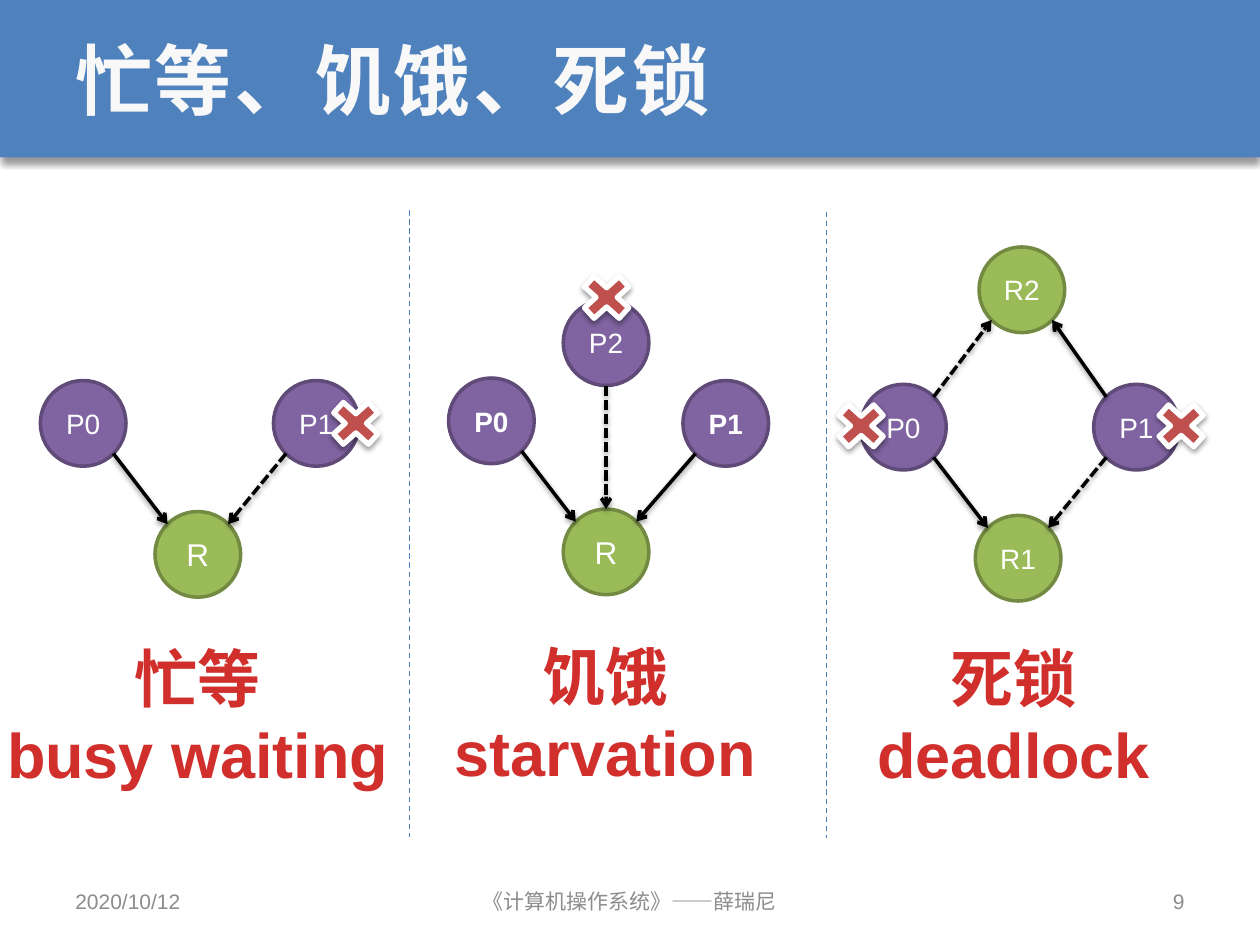
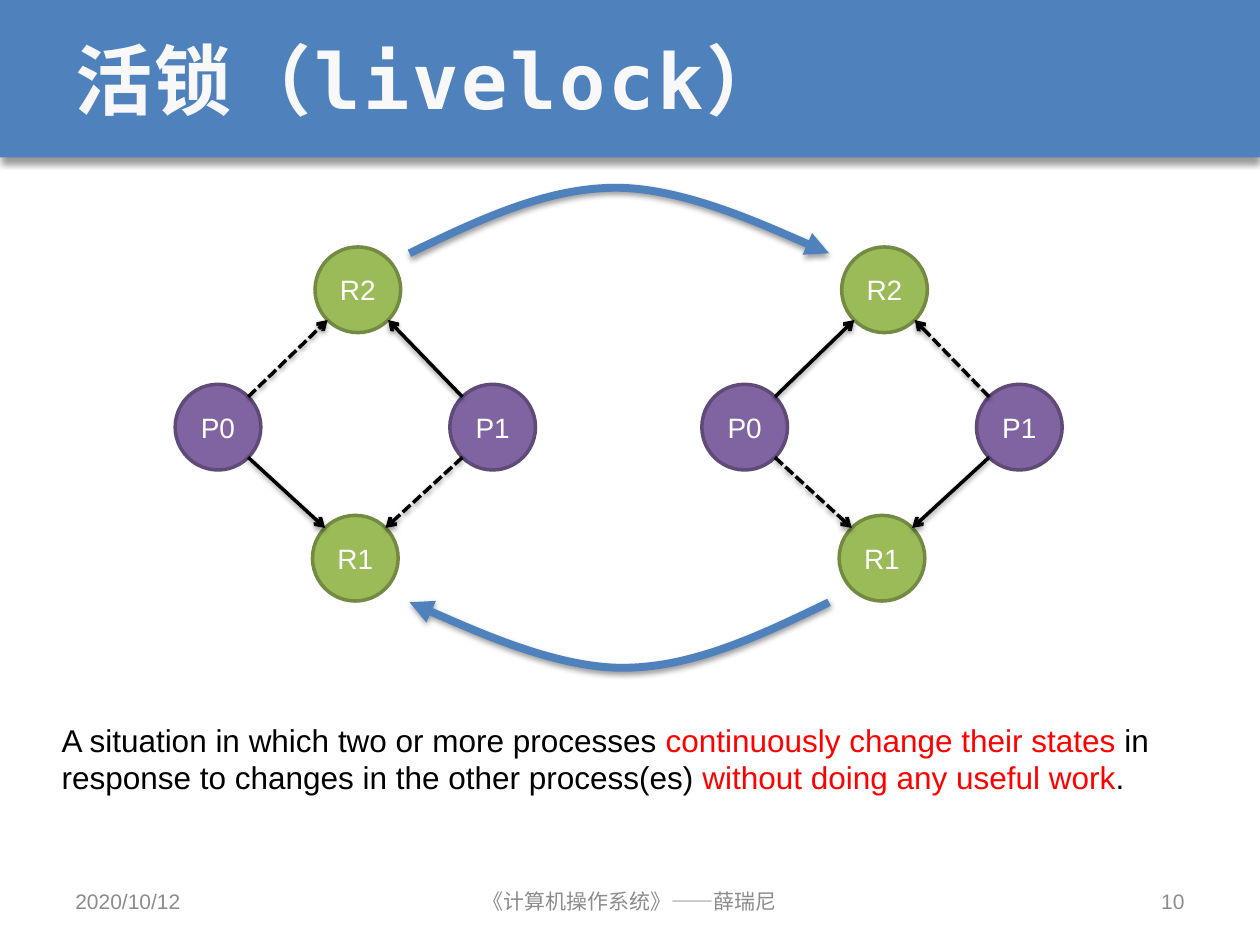
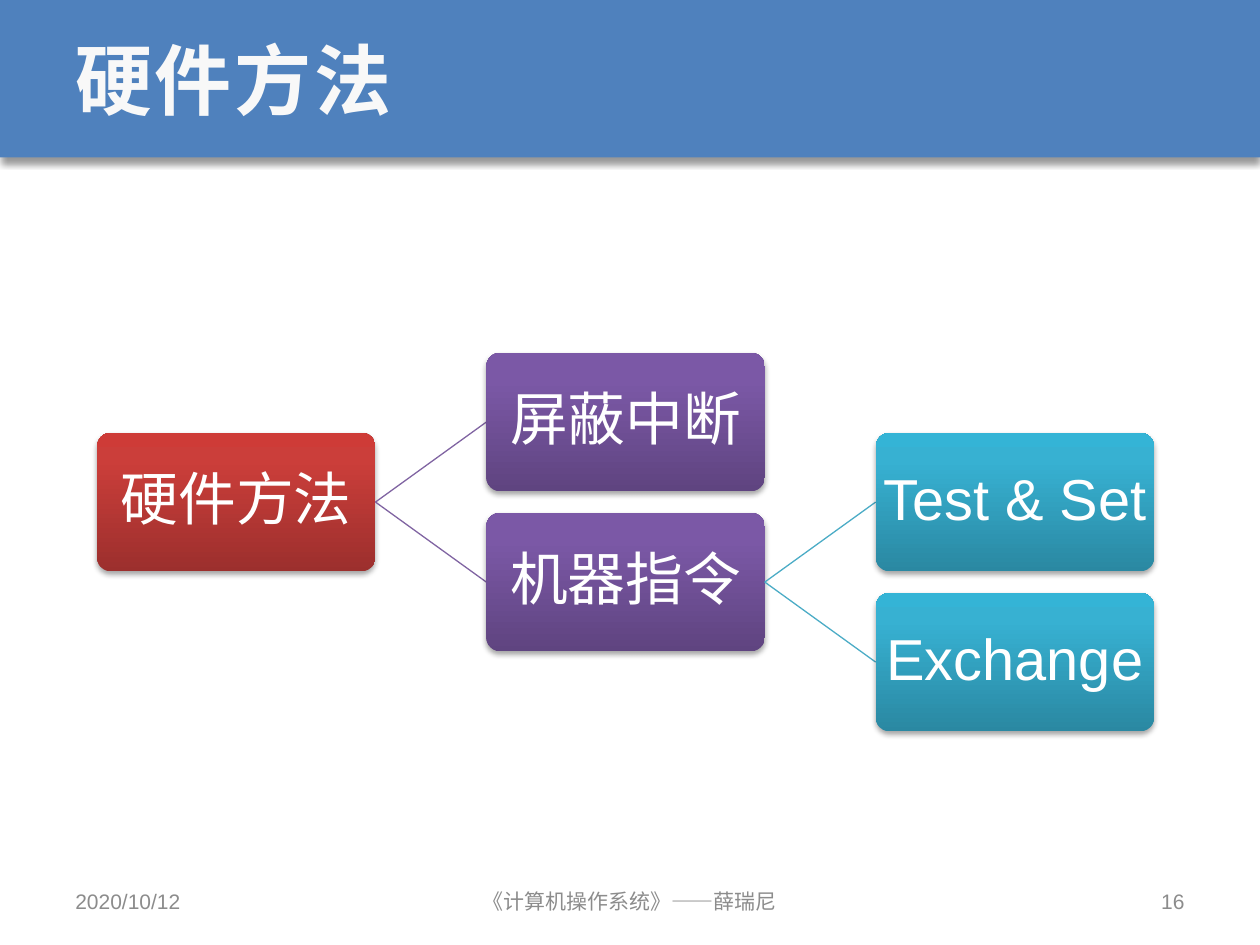
from dataclasses import dataclass

from lxml import etree
from pptx import Presentation
from pptx import util as u
from pptx.dml.color import RGBColor
from pptx.enum import dml, shapes, text
from pptx.oxml import ns

COLORS = {
    "band": "4F81BD", "title": "F8F8F8", "footer": "8C8C8C",
    "process": "8064A2", "process_edge": "5F4A78",
    "resource": "9BBB59", "resource_edge": "738A42",
    "cross": "C0504D", "divider": "4B7EBC", "instruction": "4BACC6",
    "white": "FFFFFF", "black": "000000", "highlight": "FF0000",
}
GRADIENTS = {
    "caption": ((0, "FC7C7A"), (75, "D02F2C"), (100, "C70500")),
    "root": ((0, "9C2F2D"), (80, "CB3E3A"), (100, "CE3B37")),
    "method": ((0, "5F4480"), (80, "7B58A6"), (100, "7C57A8")),
    "instruction": ((0, "2A88A2"), (80, "37B1D2"), (100, "34B4D6")),
}
BODY_FONT, TITLE_FONT = "Arial", "DejaVu Sans Mono"
FOOTER_DATE, FOOTER_COURSE = "2020/10/12", "《计算机操作系统》——薛瑞尼"
NODE_SIZE = 0.68
SITE_OFFSET = 0.24
CROSS_WIDTH, CROSS_HEIGHT = 0.53, 0.48
BOX_WIDTH, BOX_HEIGHT = 2.21, 1.1
COLUMN_PITCH, ROW_PITCH = 3.09, 1.27
LEFT, CENTER, RIGHT = text.PP_ALIGN.LEFT, text.PP_ALIGN.CENTER, text.PP_ALIGN.RIGHT


@dataclass(frozen=True)
class Shadow:
    alpha: int
    blur: float
    distance: float


@dataclass(frozen=True)
class Node:
    label: str
    left: float
    top: float
    size: int = 16
    bold: bool = False

    @property
    def center(self) -> tuple[float, float]:
        return self.left + NODE_SIZE / 2, self.top + NODE_SIZE / 2


@dataclass(frozen=True)
class Edge:
    source: str
    target: str
    waiting: bool = False


@dataclass(frozen=True)
class Method:
    label: str
    column: int
    row: float
    kind: str
    parent: int | None = None

    @property
    def left(self) -> float:
        return 0.77 + self.column * COLUMN_PITCH

    @property
    def top(self) -> float:
        return 2.8 + self.row * ROW_PITCH

    @property
    def middle(self) -> float:
        return self.top + BOX_HEIGHT / 2


BAND_SHADOW = Shadow(40, 4, 3)
LINE_SHADOW = Shadow(38, 3.1, 1.6)
BOX_SHADOW = Shadow(35, 3.1, 1.8)


def rgb(name: str) -> RGBColor:
    return RGBColor.from_string(COLORS[name])


def inches(*lengths: float) -> list[int]:
    return [u.Inches(length) for length in lengths]


def add_child(parent, tag: str, **attributes):
    values = {key: str(value) for key, value in attributes.items()}
    return etree.SubElement(parent, ns.qn(tag), values)


def set_shadow(shape, shadow: Shadow | None) -> None:
    properties = shape.element.spPr
    for old in properties.findall(ns.qn("a:effectLst")):
        properties.remove(old)
    effects = add_child(properties, "a:effectLst")
    if shadow:
        outer = add_child(effects, "a:outerShdw", blurRad=u.Pt(shadow.blur),
                          dist=u.Pt(shadow.distance), dir=5400000, rotWithShape=0)
        color = add_child(outer, "a:srgbClr", val=COLORS["black"])
        add_child(color, "a:alpha", val=shadow.alpha * 1000)


def set_gradient(fill, element, name: str, angle: int) -> None:
    fill.gradient()
    fill.gradient_angle = angle
    stops = next(element.iter(ns.qn("a:gsLst")))
    for old in list(stops):
        stops.remove(old)
    for position, color in GRADIENTS[name]:
        stop = add_child(stops, "a:gs", pos=position * 1000)
        add_child(stop, "a:srgbClr", val=color)


def set_line(shape, color: str, width: float, dash=None, arrowhead: str = "") -> None:
    shape.line.color.rgb = rgb(color)
    shape.line.width = u.Pt(width)
    if dash:
        shape.line.dash_style = dash
    if arrowhead:
        add_child(shape.line._get_or_add_ln(), "a:tailEnd", type=arrowhead)


def style_font(font, size: float, color: str, name: str = BODY_FONT,
               bold: bool = False) -> None:
    font.size = u.Pt(size)
    font.name = name
    font.bold = bold
    font.color.rgb = rgb(color)


def set_margins(frame, side: float, upright: float) -> None:
    frame.margin_left = frame.margin_right = u.Inches(side)
    frame.margin_top = frame.margin_bottom = u.Inches(upright)


def add_text(slide, words: str, left: float, top: float, width: float, height: float,
             size: float, color: str, font_name: str = BODY_FONT,
             align=LEFT, bold: bool = False):
    frame = slide.shapes.add_textbox(*inches(left, top, width, height)).text_frame
    frame.word_wrap = True
    frame.vertical_anchor = text.MSO_ANCHOR.MIDDLE
    frame.text = words
    paragraph = frame.paragraphs[0]
    paragraph.alignment = align
    run = paragraph.runs[0]
    style_font(run.font, size, color, font_name, bold)
    return run


def add_shape(slide, preset, left: float, top: float, width: float, height: float,
              shadow: Shadow | None = None):
    shape = slide.shapes.add_shape(preset, *inches(left, top, width, height))
    set_shadow(shape, shadow)
    return shape


def add_line(slide, start: tuple[float, float], end: tuple[float, float], color: str,
             width: float, dash=None, arrowhead: str = "",
             shadow: Shadow | None = None) -> None:
    line = slide.shapes.add_connector(shapes.MSO_CONNECTOR.STRAIGHT,
                                      *inches(*start, *end))
    set_line(line, color, width, dash, arrowhead)
    set_shadow(line, shadow)


def add_base(deck, title: str, number: int):
    slide = deck.slides.add_slide(deck.slide_layouts[6])
    band = add_shape(slide, shapes.MSO_SHAPE.RECTANGLE, 0, 0, 10, 1.25, BAND_SHADOW)
    band.fill.solid()
    band.fill.fore_color.rgb = rgb("band")
    band.line.fill.background()
    heading = add_text(slide, title, 0.5, 0, 9, 1.25, 44, "title", TITLE_FONT, bold=True)
    heading.font._element.set("spc", "150")
    add_text(slide, FOOTER_DATE, 0.5, 6.95, 2.33, 0.4, 12, "footer")
    add_text(slide, FOOTER_COURSE, 2.83, 6.95, 4.33, 0.4, 12, "footer",
             TITLE_FONT, CENTER)
    add_text(slide, str(number), 7.17, 6.95, 2.33, 0.4, 12, "footer", align=RIGHT)
    return slide


def add_node(slide, node: Node) -> None:
    kind = "process" if node.label.startswith("P") else "resource"
    circle = add_shape(slide, shapes.MSO_SHAPE.FLOWCHART_CONNECTOR,
                       node.left, node.top, NODE_SIZE, NODE_SIZE)
    circle.fill.solid()
    circle.fill.fore_color.rgb = rgb(kind)
    set_line(circle, f"{kind}_edge", 2)
    frame = circle.text_frame
    set_margins(frame, 0.04, 0.05)
    frame.vertical_anchor = text.MSO_ANCHOR.MIDDLE
    frame.text = node.label
    frame.paragraphs[0].alignment = CENTER
    style_font(frame.paragraphs[0].runs[0].font, node.size, "white", bold=node.bold)


def rim_point(node: Node, toward: Node) -> tuple[float, float]:
    (x, y), (other_x, other_y) = node.center, toward.center
    down = 1 if other_y > y else -1
    if abs(other_x - x) < 0.1:
        return x, y + down * NODE_SIZE / 2
    across = 1 if other_x > x else -1
    return x + across * SITE_OFFSET, y + down * SITE_OFFSET


def add_graph(slide, nodes: list[Node], edges: list[Edge]) -> None:
    for node in nodes:
        add_node(slide, node)
    by_label = {node.label: node for node in nodes}
    for edge in edges:
        source, target = by_label[edge.source], by_label[edge.target]
        dash = dml.MSO_LINE.SQUARE_DOT if edge.waiting else None
        add_line(slide, rim_point(source, target), rim_point(target, source),
                 "black", 2, dash, "arrow", LINE_SHADOW)


def add_cycle(slide, left: float, r1_shift: float, r2_shift: float, p1_shift: float,
              waiting: tuple[str, str]) -> None:
    nodes = [Node("R1", left + r1_shift, 4.09), Node("P0", left, 3.05),
             Node("P1", left + p1_shift, 3.05), Node("R2", left + r2_shift, 1.96)]
    edges = [Edge(process, resource, process + resource in waiting)
             for process in ("P0", "P1") for resource in ("R1", "R2")]
    add_graph(slide, nodes, edges)


def add_cross(slide, left: float, top: float) -> None:
    cross = add_shape(slide, shapes.MSO_SHAPE.MATH_MULTIPLY, left, top,
                      CROSS_WIDTH, CROSS_HEIGHT, LINE_SHADOW)
    cross.fill.solid()
    cross.fill.fore_color.rgb = rgb("cross")
    set_line(cross, "white", 3)


def add_caption(slide, words: str, left: float, top: float, width: float) -> None:
    frame = slide.shapes.add_textbox(*inches(left, top, width, 1.31)).text_frame
    frame.word_wrap = False
    frame.text = words
    for paragraph in frame.paragraphs:
        paragraph.alignment = CENTER
        run = paragraph.runs[0]
        run.font.size = u.Pt(36)
        run.font.name = BODY_FONT
        run.font.bold = True
        set_gradient(run.font.fill, run.font._element, "caption", 270)


def add_swap_arrow(slide, top: float, rotation: int) -> None:
    points = [(0, 0.52), (0.54, 0.26), (1.08, 0), (1.64, 0),
              (2.19, 0), (3.33, 0.52), (3.33, 0.52)]
    start, *rest = [tuple(inches(x, y)) for x, y in points]
    builder = slide.shapes.build_freeform(*start)
    builder.add_line_segments(rest, close=False)
    arrow = builder.convert_to_shape(*inches(3.25, top))
    outline = next(arrow.element.iter(ns.qn("a:path")))
    segments = outline.findall(ns.qn("a:lnTo"))
    for first in range(0, len(segments), 3):
        curve = add_child(outline, "a:cubicBezTo")
        for segment in segments[first:first + 3]:
            curve.append(segment[0])
            outline.remove(segment)
    arrow.rotation = rotation
    arrow.fill.background()
    set_line(arrow, "band", 4.5, arrowhead="triangle")
    set_shadow(arrow, LINE_SHADOW)


def add_method(slide, method: Method) -> None:
    box = add_shape(slide, shapes.MSO_SHAPE.ROUNDED_RECTANGLE, method.left, method.top,
                    BOX_WIDTH, BOX_HEIGHT, BOX_SHADOW)
    box.adjustments[0] = 0.1
    set_gradient(box.fill, box.element, method.kind, 90)
    box.line.fill.background()
    frame = box.text_frame
    set_margins(frame, 0.02, 0.02)
    frame.word_wrap = True
    frame.vertical_anchor = text.MSO_ANCHOR.MIDDLE
    frame.text = method.label
    paragraph = frame.paragraphs[0]
    paragraph.alignment = CENTER
    paragraph.line_spacing = 0.9
    style_font(paragraph.runs[0].font, 33, "white")


def build_comparison(deck) -> None:
    slide = add_base(deck, "忙等、饥饿、死锁", 9)
    add_graph(slide,
              [Node("R", 1.23, 4.06, 18), Node("P0", 0.32, 3.02), Node("P1", 2.17, 3.02)],
              [Edge("P0", "R"), Edge("P1", "R", True)])
    add_graph(slide,
              [Node("R", 4.47, 4.04, 18), Node("P0", 3.56, 3, bold=True),
               Node("P2", 4.47, 2.38), Node("P1", 5.42, 3.02, bold=True)],
              [Edge("P0", "R"), Edge("P2", "R", True), Edge("P1", "R")])
    add_cycle(slide, 6.83, 0.91, 0.94, 1.85, ("P0R2", "P1R1"))
    for left, top in ((2.56, 3.12), (4.55, 2.12), (6.57, 3.14), (9.11, 3.14)):
        add_cross(slide, left, top)
    for x, top in ((3.25, 1.67), (6.56, 1.68)):
        add_line(slide, (x, top), (x, top + 4.97), "divider", 0.75, dml.MSO_LINE.DASH)
    add_caption(slide, "忙等\nbusy waiting", -0.06, 5.03, 3.26)
    add_caption(slide, "饥饿\nstarvation", 3.5, 5.01, 2.61)
    add_caption(slide, "死锁\ndeadlock", 6.85, 5.03, 2.39)


def build_livelock(deck) -> None:
    slide = add_base(deck, "活锁（livelock）", 10)
    add_cycle(slide, 1.39, 1.09, 1.11, 2.18, ("P0R2", "P1R1"))
    add_cycle(slide, 5.57, 1.09, 1.11, 2.18, ("P0R1", "P1R2"))
    add_swap_arrow(slide, 1.49, 0)
    add_swap_arrow(slide, 4.78, 180)
    frame = slide.shapes.add_textbox(*inches(0.39, 5.67, 9.45, 0.71)).text_frame
    frame.word_wrap = True
    definition = (
        ("A situation in which two or more processes ", "black"),
        ("continuously change their states", "highlight"),
        (" in response to changes in the other process(es) ", "black"),
        ("without doing any useful work", "highlight"),
        (".", "black"),
    )
    for words, color in definition:
        run = frame.paragraphs[0].add_run()
        run.text = words
        style_font(run.font, 18, color)


def build_hardware(deck) -> None:
    slide = add_base(deck, "硬件方法", 16)
    methods = [
        Method("硬件方法", 0, 0.5, "root"),
        Method("屏蔽中断", 1, 0, "method", 0),
        Method("机器指令", 1, 1, "method", 0),
        Method("Test & Set", 2, 0.5, "instruction", 2),
        Method("Exchange", 2, 1.5, "instruction", 2),
    ]
    link_colors = {"method": "process", "instruction": "instruction"}
    for method in methods:
        if method.parent is not None:
            parent = methods[method.parent]
            add_line(slide, (parent.left + BOX_WIDTH, parent.middle),
                     (method.left, method.middle), link_colors[method.kind], 0.75)
        add_method(slide, method)


def main() -> None:
    deck = Presentation()
    deck.slide_width, deck.slide_height = inches(10, 7.5)
    build_comparison(deck)
    build_livelock(deck)
    build_hardware(deck)
    deck.save("out.pptx")


if __name__ == "__main__":
    main()
